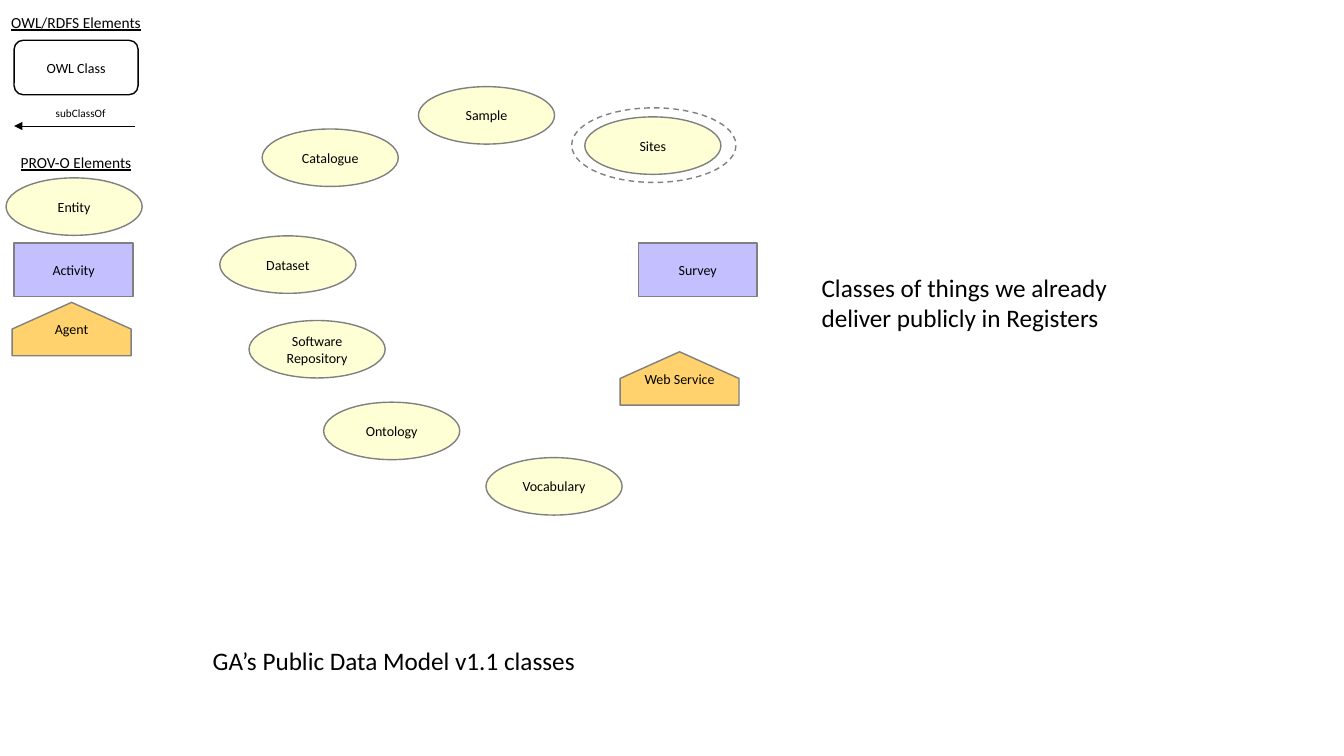
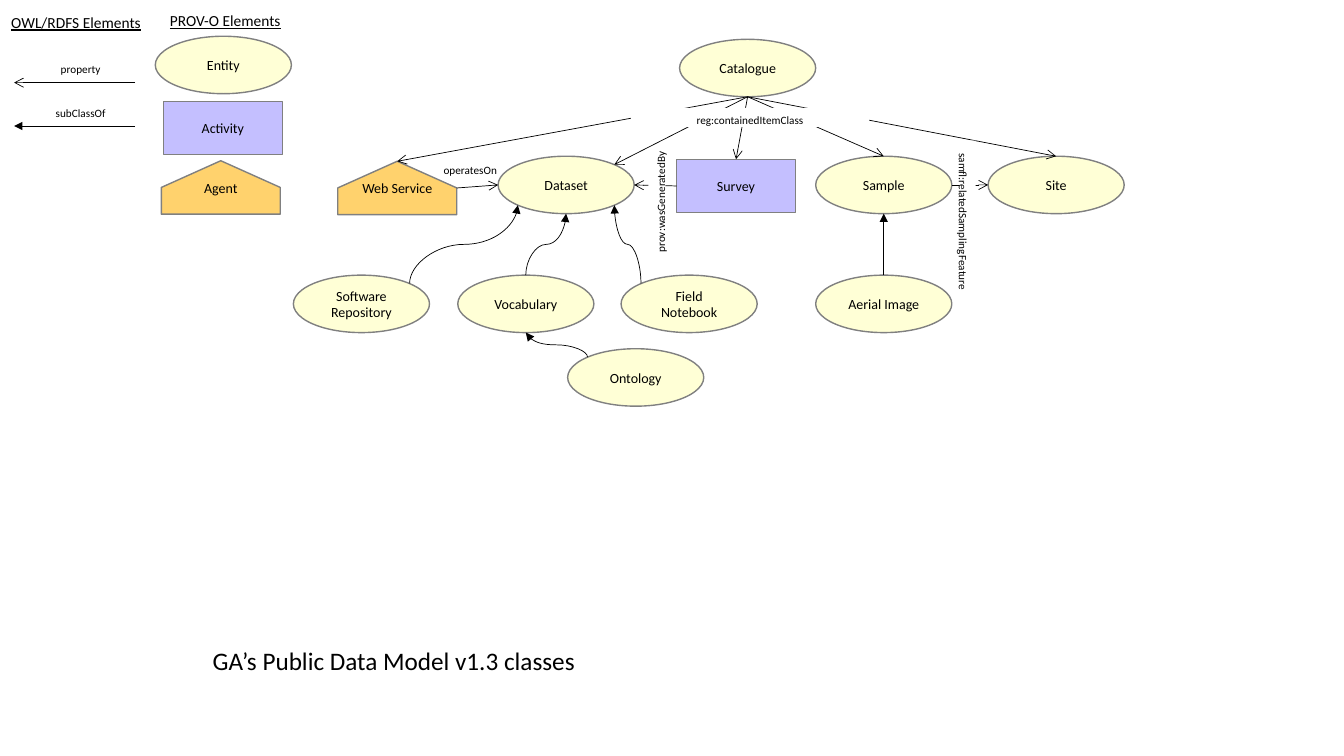
import dataclasses
import pptx
import pptx.dml.color
import pptx.enum.dml
import pptx.enum.shapes
import pptx.enum.text
import pptx.oxml
import pptx.oxml.ns
import pptx.util

SHAPE = pptx.enum.shapes.MSO_SHAPE
LINK = pptx.enum.shapes.MSO_CONNECTOR
ALIGN = pptx.enum.text.PP_ALIGN
ANCHOR = pptx.enum.text.MSO_ANCHOR
FIT = pptx.enum.text.MSO_AUTO_SIZE


@dataclasses.dataclass(frozen=True)
class Theme:
    """Colours, type sizes and the grid; one cell is a tenth of an inch."""
    font: str = "Calibri"
    ink: str = "000000"
    paper: str = "FFFFFF"
    edge: str = "808080"
    entity: str = "FFFFD6"
    act: str = "C4BFFF"
    agent: str = "FFD26D"
    title: int = 18
    head: int = 11
    body: int = 10
    small: int = 8
    thin: float = 0.5
    line: float = 1
    cols: float = 133.3
    rows: float = 75


T = Theme()
OVAL = (13.5, 5.7)
BLOCK = (11.8, 5.3)
DIAG = 0.146  # share of an oval's box at its diagonal points
TOP, BASE, LEFT, RIGHT = (0.5, 0), (0.5, 1), (0, 0.5), (1, 0.5)
NW, NE, SW, SE = (DIAG, DIAG), (1 - DIAG, DIAG), (DIAG, 1 - DIAG), (1 - DIAG, 1 - DIAG)


def cell(*nums):
    """Turn grid cells into lengths."""
    return [pptx.util.Inches(n / 10) for n in nums]


def rgb(code):
    """Turn a hex code into a colour."""
    return pptx.dml.color.RGBColor.from_string(code)


def write(shape, text, size=T.body, align=ALIGN.CENTER, anchor=ANCHOR.MIDDLE,
          wrap=True, under=None, space=None, fit=FIT.NONE):
    """Put formatted text into a shape."""
    frame = shape.text_frame
    frame.word_wrap, frame.auto_size = wrap, fit
    frame.vertical_anchor = anchor
    para = frame.paragraphs[0]
    para.text, para.alignment = text, align
    if space:
        para.line_spacing = space
    for run in para.runs:
        font = run.font
        font.name, font.size, font.underline = T.font, pptx.util.Pt(size), under
        font.color.rgb = rgb(T.ink)


def paint(shape, fill=None, edge=None):
    """Set the fill and outline of a shape, without shadow."""
    shape.shadow.inherit = False
    if fill:
        shape.fill.solid()
        shape.fill.fore_color.rgb = rgb(fill)
    else:
        shape.fill.background()
    if edge:
        shape.line.color.rgb = rgb(edge)
        shape.line.width = pptx.util.Pt(T.line)
    else:
        shape.line.fill.background()


def form(slide, kind, text, box, fill=None, edge=T.edge):
    """Draw a preset shape with centred text."""
    shape = slide.shapes.add_shape(kind, *cell(*box))
    paint(shape, fill, edge)
    write(shape, text)
    return shape


def entity(slide, text, x, y):
    """Draw an entity oval and return its box."""
    box = (x, y, *OVAL)
    form(slide, SHAPE.OVAL, text, box, T.entity)
    return box


def act(slide, text, x, y):
    """Draw an activity block and return its box."""
    box = (x, y, *BLOCK)
    form(slide, SHAPE.RECTANGLE, text, box, T.act)
    return box


def agent(slide, text, x, y):
    """Draw an agent house and return its box."""
    box = (x, y, *BLOCK)
    roof, *rest = [cell(*port(box, at)) for at in (TOP, RIGHT, (1, 1), (0, 1), LEFT)]
    build = slide.shapes.build_freeform(*roof)
    build.add_line_segments(rest)
    house = build.convert_to_shape()
    paint(house, T.agent, T.edge)
    write(house, text)
    return box


def port(box, at):
    """Find the point at the given shares of a box."""
    x, y, w, h = box
    return x + w * at[0], y + h * at[1]


def arrow(slide, start, end, tip="arrow", curve=False):
    """Draw an arrow; a curve leaves and arrives vertically, going up."""
    (x, y), (u, v) = start, end
    turn = 0
    if curve:
        side = 1 if u > x else -1
        midx, midy = (x + u) / 2, (y + v) / 2
        half, rise = abs(v - y) / 2 * side, abs(u - x) / 2
        x, y, u, v = midx + half, midy + rise, midx - half, midy - rise
        turn = 90 if side > 0 else 270
    line = slide.shapes.add_connector(LINK.CURVE if curve else LINK.STRAIGHT,
                                      *cell(x, y, u, v))
    line.line.color.rgb = rgb(T.ink)
    line.line.width = pptx.util.Pt(T.thin)
    prop = line._element.spPr
    if turn:
        prop.find(pptx.oxml.ns.qn("a:xfrm")).set("rot", str(turn * 60000))
    space = pptx.oxml.ns.nsdecls("a")
    line.line._get_or_add_ln().append(
        pptx.oxml.parse_xml(f'<a:tailEnd {space} type="{tip}"/>'))
    prop.append(pptx.oxml.parse_xml(f"<a:effectLst {space}/>"))


def note(slide, text, box, **form):
    """Place a text box."""
    write(slide.shapes.add_textbox(*cell(*box)), text, anchor=ANCHOR.TOP, wrap=False, **form)


def head(slide, text, x, y):
    """Place an underlined legend heading."""
    note(slide, text, (x, y, 12.7, 3.2), size=T.head, under=True, space=1.06)


def label(slide, text, box, turn=0):
    """Place a white label over an arrow."""
    tag = slide.shapes.add_shape(SHAPE.RECTANGLE, *cell(*box))
    paint(tag, T.paper)
    tag.rotation = turn
    write(tag, text, size=T.small, anchor=ANCHOR.TOP, wrap=False, space=1.05)


def key(slide, text, y, tip):
    """Draw a legend row: a caption above its arrow."""
    arrow(slide, (13.4, y + 2.55), (1.4, y + 2.55), tip)
    note(slide, text, (1.75, y, 12.5, 1.9), size=T.small, space=1.05)


def prov(slide, x, y):
    """Draw the legend of PROV-O elements."""
    head(slide, "PROV-O Elements", x, y)
    entity(slide, "Entity", x - 0.6, y + 3.05)
    act(slide, "Activity", x + 0.2, y + 9.5)
    agent(slide, "Agent", x, y + 15.4)


def start(deck, version):
    """Add a slide with its title and the shared part of the legend."""
    slide = deck.slides.add_slide(deck.slide_layouts[5])
    title = slide.shapes.title
    title.left, title.top, title.width, title.height = cell(20.1, 63.5, 38.3, 4)
    write(title, f"GA’s Public Data Model {version} classes", size=T.title, align=ALIGN.LEFT,
          anchor=ANCHOR.TOP, wrap=False, fit=FIT.SHAPE_TO_FIT_TEXT)
    head(slide, "OWL/RDFS Elements", 1.2, 0.7)
    key(slide, "subClassOf", 9.95, "triangle")
    return slide


def ring(deck):
    """Build the slide of public classes set in a ring."""
    slide = start(deck, "v1.1")
    form(slide, SHAPE.ROUNDED_RECTANGLE, "OWL Class", (1.4, 4, 12.3, 5.4), T.paper, T.ink)
    prov(slide, 1.2, 14.6)
    halo = form(slide, SHAPE.OVAL, "Sites", (56.7, 10.7, 16.3, 7.4))
    halo.line.dash_style = pptx.enum.dml.MSO_LINE.DASH
    for text, x, y in (("Dataset", 21.8, 23.4), ("Vocabulary", 48.2, 45.4),
                       ("Ontology", 32.1, 39.9), ("Sample", 41.5, 8.6),
                       ("Software Repository", 24.7, 31.8),
                       ("Catalogue", 26, 12.8), ("Sites", 58, 11.6)):
        entity(slide, text, x, y)
    act(slide, "Survey", 63.3, 24.1)
    agent(slide, "Web Service", 61.5, 34.9)
    note(slide, "Classes of things we already\vdeliver publicly in Registers",
         (80.5, 26.5, 31.2, 7.1), size=T.title, align=ALIGN.LEFT, fit=FIT.SHAPE_TO_FIT_TEXT)


def tree(deck):
    """Build the slide of classes joined by arrows."""
    slide = start(deck, "v1.3")
    key(slide, "property", 5.65, "arrow")
    prov(slide, 16, 0.55)
    upper, lower = 15.5, 27.3
    cat = entity(slide, "Catalogue", 67.4, 3.9)
    web = agent(slide, "Web Service", 33.5, 16)
    data = entity(slide, "Dataset", 49.4, upper)
    survey = act(slide, "Survey", 67.1, 15.8)
    sample = entity(slide, "Sample", 80.9, upper)
    site = entity(slide, "Site", 98, upper)
    repo = entity(slide, "Software Repository", 29.1, lower)
    vocab = entity(slide, "Vocabulary", 45.4, lower)
    field = entity(slide, "Field Notebook", 61.6, lower)
    image = entity(slide, "Aerial Image", 80.9, lower)
    onto = entity(slide, "Ontology", 56.3, 34.6)

    for kid, tip, base, at, curve in ((onto, NW, vocab, BASE, True),
                                      (vocab, TOP, data, BASE, True),
                                      (repo, NE, data, SW, True),
                                      (field, NW, data, SE, True),
                                      (image, TOP, sample, BASE, False)):
        arrow(slide, port(kid, tip), port(base, at), "triangle", curve)
    for item, at in ((data, NE), (web, TOP), (sample, TOP), (survey, TOP), (site, TOP)):
        arrow(slide, port(cat, BASE), port(item, at))
    for one, tip, two, at in ((sample, RIGHT, site, LEFT), (web, RIGHT, data, LEFT),
                              (survey, LEFT, data, RIGHT)):
        arrow(slide, port(one, tip), port(two, at))

    label(slide, "reg:containedItemClass", (62.6, 10.7, 23.6, 1.9))
    label(slide, "operatesOn", (44.1, 15.6, 5.1, 1.5))
    label(slide, "samfl:relatedSamplingFeature", (87.9, 21.2, 16.1, 1.6), 90)
    label(slide, "prov:wasGeneratedBy", (60.2, 19.2, 9.9, 1.7), 270)


def main():
    """Build and save the deck."""
    deck = pptx.Presentation()
    deck.slide_width, deck.slide_height = cell(T.cols, T.rows)
    ring(deck)
    tree(deck)
    deck.save("out.pptx")


main()
